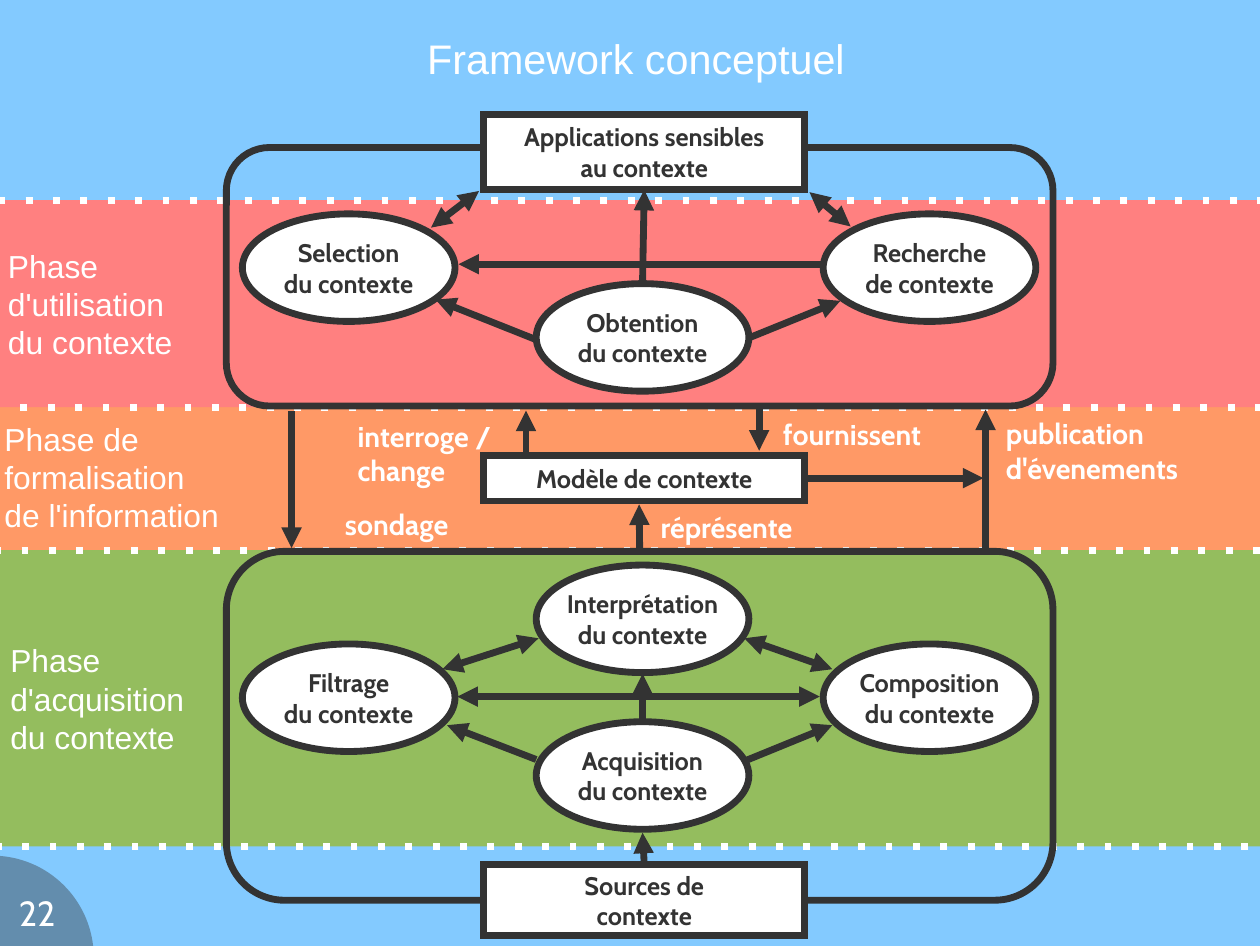
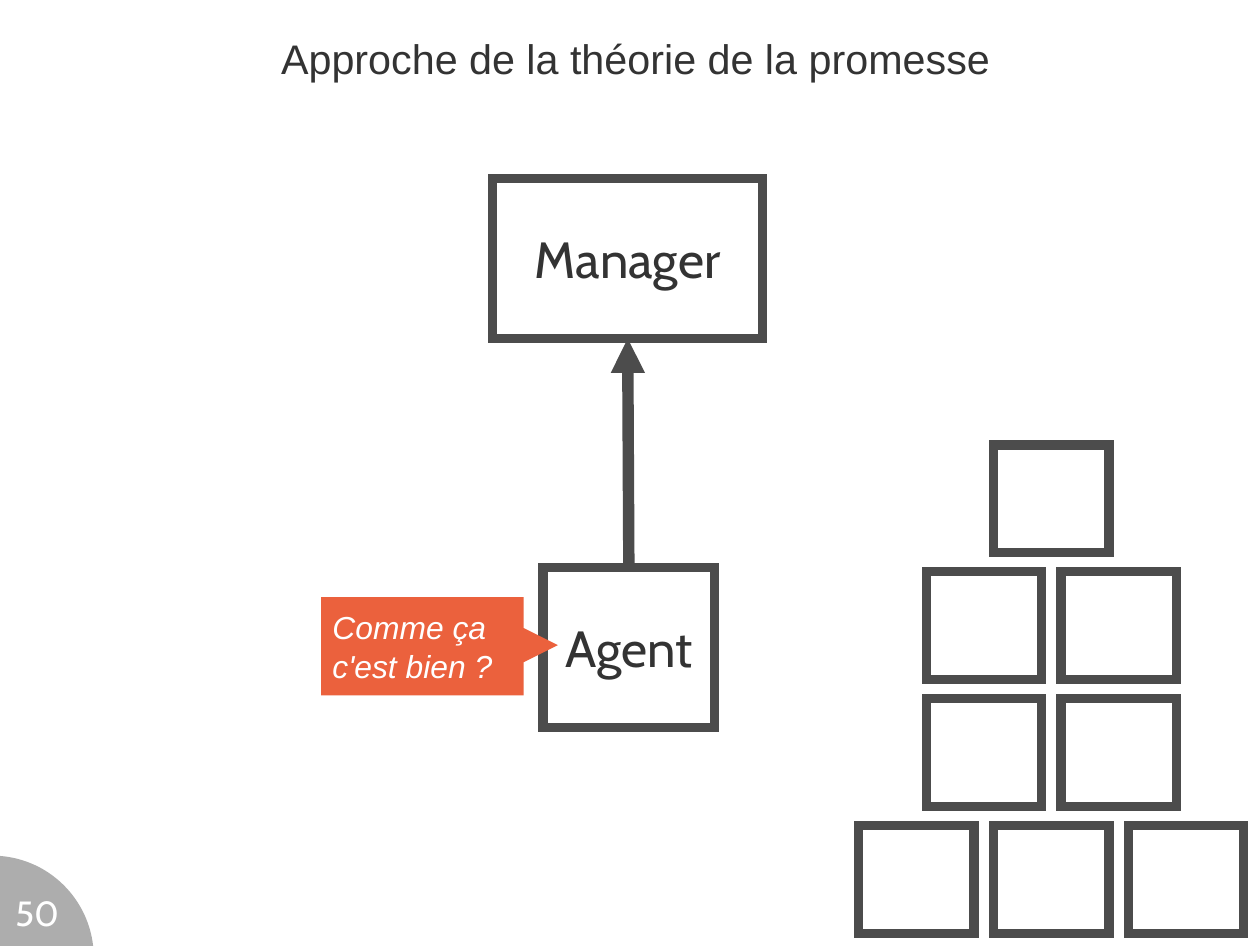
from lxml.etree import SubElement
from pptx import Presentation
from pptx.dml.color import RGBColor
from pptx.enum.dml import MSO_LINE as Dash
from pptx.enum.shapes import MSO_CONNECTOR as Link, MSO_SHAPE as Kind
from pptx.enum.text import MSO_ANCHOR as Anchor, PP_ALIGN as Align
from pptx.oxml.ns import qn
from pptx.util import Emu, Pt

SCALE = 9144  # EMU in one px, 100 px to the inch
WIDE, HIGH = 1102, 827
INK, GREY, WHITE = "333333", "4C4C4C", "FFFFFF"
SKY, RED, ORANGE, GREEN, CORAL = "83CAFF", "FF8080", "FF9966", "94BD5E", "EB613D"
SANS, CABIN = "Arial", "Cabin"
TIGHT, ROOMY, BARE = (10, 5), (13, 8), (0, 0)


def px(*nums):
    return [Emu(round(n * SCALE)) for n in nums]


def paint(color, code):
    color.rgb = RGBColor.from_string(code)


class Deck:
    def __init__(self):
        self.prs = Presentation()
        self.prs.slide_width, self.prs.slide_height = px(WIDE, HIGH)

    def page(self, title, number, back, ink):
        """Start a slide with its background, title and page number."""
        slide = self.prs.slides.add_slide(self.prs.slide_layouts[6])
        fill = slide.background.fill
        fill.solid()
        paint(fill.fore_color, back)
        self.shapes = slide.shapes
        disc = self.shape(Kind.OVAL, (-96, 748, 178, 178), INK)
        tint = disc._element.spPr.find(qn("a:solidFill"))[0]
        SubElement(tint, qn("a:alpha"), val="40000")
        self.label((33, 2, 1047, 98), title, 26, SANS, ink,
                   align=Align.CENTER, anchor=Anchor.MIDDLE, pad=BARE)
        self.label((9, 779, 47, 39), str(number), 22, CABIN, WHITE,
                   align=Align.CENTER, pad=BARE)

    def put(self, shape, text, size, font, ink, bold=None, italic=None,
            align=Align.LEFT, anchor=Anchor.MIDDLE, pad=ROOMY, wrap=True):
        """Set the text of a shape and its style."""
        frame = shape.text_frame
        frame.word_wrap = wrap
        frame.vertical_anchor = anchor
        frame.margin_left = frame.margin_right = px(pad[0])[0]
        frame.margin_top = frame.margin_bottom = px(pad[1])[0]
        para = frame.paragraphs[0]
        para.text = text
        para.alignment = align
        face = para.font
        face.name, face.size, face.bold, face.italic = font, Pt(size), bold, italic
        paint(face.color, ink)

    def label(self, box, text, size, font, ink, anchor=Anchor.TOP, pad=TIGHT, **style):
        self.put(self.shapes.add_textbox(*px(*box)), text, size, font, ink,
                 anchor=anchor, pad=pad, **style)

    def shape(self, kind, box, fill=None, edge=None, width=4.31, dotted=False):
        item = self.shapes.add_shape(kind, *px(*box))
        item.shadow.inherit = False
        if fill:
            item.fill.solid()
            paint(item.fill.fore_color, fill)
        else:
            item.fill.background()
        if not edge:
            item.line.fill.background()
            return item
        item.line.width = Pt(width)
        paint(item.line.color, edge)
        line = item._element.spPr.find(qn("a:ln"))
        if dotted:
            item.line.dash_style = Dash.SQUARE_DOT
            line.find(qn("a:prstDash")).set("val", "dot")
        SubElement(line, qn("a:miter"), lim="800000")
        return item

    def band(self, box, fill, text, edge=None, pad=ROOMY):
        item = self.shape(Kind.RECTANGLE, box, fill, edge, dotted=True)
        self.put(item, text, 20, SANS, WHITE, pad=pad)

    def node(self, kind, box, text):
        item = self.shape(kind, box, WHITE, INK)
        self.put(item, text, 16, CABIN, INK, bold=True, align=Align.CENTER, wrap=False)
        return item

    def block(self, box, text=None):
        item = self.shape(Kind.RECTANGLE, box, edge=GREY, width=5.75)
        if text:
            self.put(item, text, 32, CABIN, INK, align=Align.CENTER, wrap=False)
        return item

    def arrow(self, ends, both=False, color=INK, width=4.31):
        """Draw from the first point to the second, with a head there or on both."""
        item = self.shapes.add_connector(Link.STRAIGHT, *px(*ends))
        item.line.width = Pt(width)
        paint(item.line.color, color)
        props = item._element.spPr
        line = props.find(qn("a:ln"))
        for tag in ("a:headEnd", "a:tailEnd") if both else ("a:tailEnd",):
            SubElement(line, qn(tag), type="triangle")
        SubElement(props, qn("a:effectLst"))
        return item


def concept(deck):
    deck.page("Framework conceptuel", 22, SKY, WHITE)
    deck.band((-6, 353, 1108, 128), ORANGE,
              "Phase de\nformalisation\nde l'information", pad=TIGHT)
    deck.band((-6, 175, 1113, 181), RED, "Phase\nd'utilisation\ndu contexte", WHITE)
    deck.band((-4, 481, 1112, 259), GREEN, "Phase\nd'acquisition\ndu contexte", WHITE)

    deck.shape(Kind.ROUNDED_RECTANGLE, (198, 129, 723, 226), edge=INK)
    lower = deck.shape(Kind.ROUNDED_RECTANGLE, (198, 482, 723, 305), edge=INK)

    left, mid, right = 212, 469, 720
    for x, y, text in (
        (left, 187, "Selection\ndu contexte"),
        (right, 187, "Recherche\nde contexte"),
        (mid, 248, "Obtention\ndu contexte"),
        (mid, 494, "Interprétation\ndu contexte"),
        (left, 563, "Filtrage\ndu contexte"),
        (right, 563, "Composition\ndu contexte"),
        (mid, 631, "Acquisition\ndu contexte"),
    ):
        deck.node(Kind.OVAL, (x, y, 186, 94), text)

    apps, model, source = [
        deck.node(Kind.RECTANGLE, (423, y, 281, high), text)
        for y, high, text in (
            (100, 66, "Applications sensibles\nau contexte"),
            (398, 40, "Modèle de contexte"),
            (756, 62, "Sources de\ncontexte"),
        )
    ]

    for box, text, align in (
        ((675, 360, 177, 44), "fournissent", Align.LEFT),
        ((568, 441, 177, 44), "réprésente", Align.LEFT),
        ((303, 361, 177, 78), "interroge /\nchange", Align.LEFT),
        ((870, 359, 194, 78), "publication\nd'évenements", Align.LEFT),
        ((266, 438, 136, 44), "sondage", Align.RIGHT),
    ):
        deck.label(box, text, 18, CABIN, WHITE, bold=True, align=align)

    for ends in (
        (664, 354, 664, 394), (460, 399, 460, 359),
        (862, 479, 862, 358), (255, 359, 255, 479),
        (718, 231, 401, 231), (562, 629, 562, 589),
        (656, 295, 735, 263), (469, 297, 381, 262),
        (469, 664, 391, 634), (652, 665, 728, 634),
    ):
        deck.arrow(ends)
    for ends in (
        (400, 609, 717, 609), (708, 168, 744, 198), (419, 167, 377, 199),
        (471, 558, 387, 585), (728, 585, 651, 558),
    ):
        deck.arrow(ends, both=True)

    deck.arrow((704, 418, 860, 418)).begin_connect(model, 3)
    deck.arrow((559, 482, 559, 441)).begin_connect(lower, 0)
    deck.arrow((562, 247, 562, 166)).end_connect(apps, 2)
    deck.arrow((562, 756, 562, 728)).begin_connect(source, 0)


def promise(deck):
    deck.page("Approche de la théorie de la promesse", 50, WHITE, INK)
    boss = deck.block((431, 156, 236, 140), "Manager")
    agent = deck.block((475, 496, 150, 140), "Agent")
    link = deck.arrow((550, 496, 550, 296), color=GREY, width=7.2)
    link.begin_connect(agent, 0)
    link.end_connect(boss, 2)

    deck.shape(Kind.DIAMOND, (428, 549, 60, 30), CORAL)
    speech = deck.shape(Kind.RECTANGLE, (281, 522, 177, 86), CORAL)
    deck.put(speech, "Comme ça\nc'est bien ?", 20, SANS, WHITE, italic=True, pad=TIGHT)

    step = 118
    for row, count in enumerate((1, 2, 2, 3)):
        start = 869 - step * (count - 1) // 2
        for col in range(count):
            deck.block((start + step * col, 389 + 111 * row, 101, 94))


def main():
    deck = Deck()
    concept(deck)
    promise(deck)
    deck.prs.save("out.pptx")


if __name__ == "__main__":
    main()
